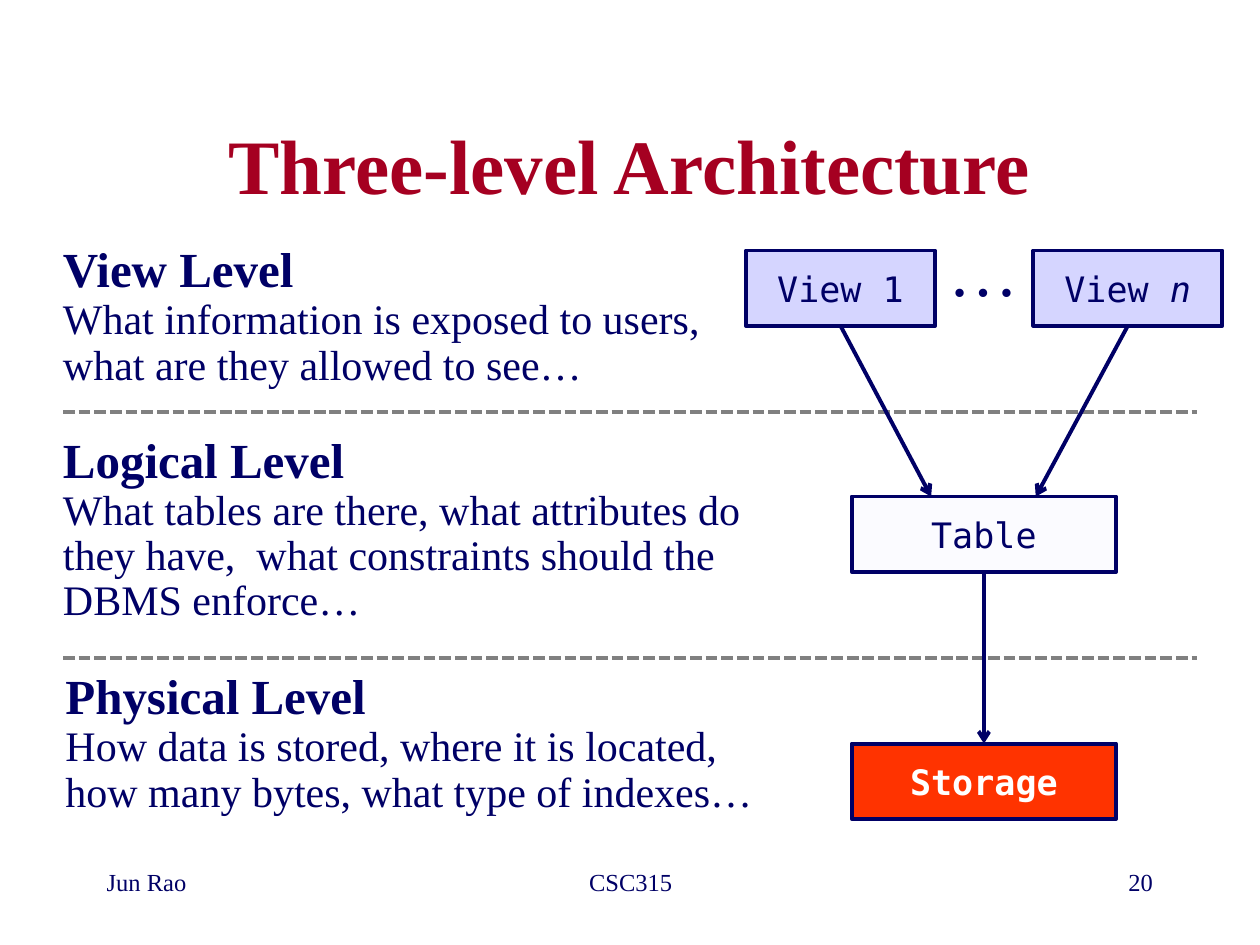
from dataclasses import dataclass

from lxml import etree
from pptx import Presentation
from pptx import util as u
from pptx.dml.color import RGBColor
from pptx.enum import dml, shapes, text
from pptx.oxml import ns


@dataclass(frozen=True)
class Theme:
    serif: str = "Times New Roman"
    mono: str = "DejaVu Sans Mono"
    title: str = "A50021"
    ink: str = "000066"
    divider: str = "808080"
    view: str = "D5D5FF"
    table: str = "FBFBFF"
    storage: str = "FF3300"
    white: str = "FFFFFF"
    title_size: int = 44
    dots_size: int = 40
    heading_size: int = 28
    body_size: int = 24
    node_size: int = 20
    footer_size: int = 14
    stroke: float = 2.25


@dataclass(frozen=True)
class Level:
    heading: str
    body: str
    left: float
    top: float
    height: float


@dataclass(frozen=True)
class Node:
    label: str
    left: float
    top: float
    width: float
    fill: str
    color: str
    bold: bool = False
    suffix: str = ""


@dataclass(frozen=True)
class Footer:
    label: str
    left: float
    width: float
    align: text.PP_ALIGN


THEME = Theme()
ALIGN = text.PP_ALIGN
NODE_HEIGHT = 1.52
VIEW_TOP, TABLE_TOP, STORAGE_TOP = 5.05, 10.01, 14.99
VIEW_WIDTH, STORE_WIDTH, STORE_LEFT = 3.81, 5.33, 17.17

LEVELS = [
    Level("View Level", "What information is exposed to users, what are they allowed to see…",
          1.27, 4.95, 2.9),
    Level("Logical Level", "What tables are there, what attributes do they have,  "
          "what constraints should the DBMS enforce…", 1.27, 8.79, 3.81),
    Level("Physical Level", "How data is stored, where it is located,\n"
          "how many bytes, what type of indexes…", 1.32, 13.56, 2.9),
]
FOOTERS = [
    Footer("Jun Rao", 1.9, 5.28, ALIGN.LEFT),
    Footer("CSC315", 8.69, 8.05, ALIGN.CENTER),
    Footer("20", 18.21, 5.28, ALIGN.RIGHT),
]
VIEW_1 = Node("View 1", 15.04, VIEW_TOP, VIEW_WIDTH, THEME.view, THEME.ink)
VIEW_N = Node("View ", 20.83, VIEW_TOP, VIEW_WIDTH, THEME.view, THEME.ink, suffix="n")
TABLE = Node("Table", STORE_LEFT, TABLE_TOP, STORE_WIDTH, THEME.table, THEME.ink)
STORAGE = Node("Storage", STORE_LEFT, STORAGE_TOP, STORE_WIDTH, THEME.storage,
               THEME.white, bold=True)


def add_text(para, words: str, *, size: int, color: str = THEME.ink, font: str = THEME.serif,
             bold: bool = False, italic: bool = False) -> None:
    """Append formatted text; a newline becomes a line break."""
    for index, line in enumerate(words.split("\n")):
        if index:
            para.add_line_break()
        span = para.add_run()
        span.text = line
        span.font.name, span.font.size = font, u.Pt(size)
        span.font.bold, span.font.italic = bold, italic
        span.font.color.rgb = RGBColor.from_string(color)


def add_box(page, left: float, top: float, width: float, height: float,
            wrap: bool = True, inset: bool = True):
    box = page.shapes.add_textbox(*map(u.Cm, (left, top, width, height)))
    frame = box.text_frame
    frame.word_wrap = wrap
    if not inset:
        frame.margin_left = frame.margin_right = frame.margin_top = frame.margin_bottom = 0
    return frame


def add_level(page, level: Level) -> None:
    frame = add_box(page, level.left, level.top, 14.22, level.height, inset=False)
    heading, body = frame.paragraphs[0], frame.add_paragraph()
    heading.line_spacing = body.line_spacing = 0.9
    add_text(heading, level.heading, size=THEME.heading_size, bold=True)
    add_text(body, level.body, size=THEME.body_size)


def add_node(page, node: Node):
    box = page.shapes.add_shape(shapes.MSO_SHAPE.RECTANGLE, *map(
        u.Cm, (node.left, node.top, node.width, NODE_HEIGHT)))
    box.shadow.inherit = False
    box.fill.solid()
    box.fill.fore_color.rgb = RGBColor.from_string(node.fill)
    box.line.color.rgb = RGBColor.from_string(THEME.ink)
    box.line.width = u.Pt(THEME.stroke)
    frame = box.text_frame
    frame.word_wrap = False
    frame.vertical_anchor = text.MSO_ANCHOR.MIDDLE
    para = frame.paragraphs[0]
    para.alignment = ALIGN.CENTER
    look = dict(size=THEME.node_size, color=node.color, font=THEME.mono, bold=node.bold)
    add_text(para, node.label, **look)
    if node.suffix:
        add_text(para, node.suffix, italic=True, **look)
    return box


def add_line(page, start: tuple[float, float], end: tuple[float, float], color: str):
    line = page.shapes.add_connector(
        shapes.MSO_CONNECTOR.STRAIGHT, *map(u.Cm, (*start, *end)))
    line.line.color.rgb = RGBColor.from_string(color)
    line.line.width = u.Pt(THEME.stroke)
    etree.SubElement(line.element.spPr, ns.qn("a:effectLst"))
    return line


def add_arrow(page, source: Node, source_box, end_x: float, end_y: float):
    """Arrow from the bottom middle of a node."""
    start = (source.left + source.width / 2, source.top + NODE_HEIGHT)
    arrow = add_line(page, start, (end_x, end_y), THEME.ink)
    arrow.begin_connect(source_box, 2)
    outline = arrow.line._get_or_add_ln()
    etree.SubElement(outline, ns.qn("a:tailEnd"), type="arrow")
    return arrow


def main() -> None:
    deck = Presentation()
    deck.slide_width, deck.slide_height = u.Cm(25.4), u.Cm(19.05)
    page = deck.slides.add_slide(deck.slide_layouts[5])

    # Dividers between the levels
    for y in (13.26, 8.31):
        divider = add_line(page, (1.27, y), (24.13, y), THEME.divider)
        divider.line.dash_style = dml.MSO_LINE.SQUARE_DOT

    # Title
    title = page.shapes.title
    title.left, title.top, title.width, title.height = map(u.Cm, (1.9, 1.7, 21.59, 3.18))
    title.text_frame.auto_size = text.MSO_AUTO_SIZE.NONE
    title.text_frame.vertical_anchor = text.MSO_ANCHOR.MIDDLE
    heading = title.text_frame.paragraphs[0]
    heading.alignment = ALIGN.CENTER
    add_text(heading, "Three-level Architecture", size=THEME.title_size,
             color=THEME.title, bold=True)

    # Footer
    for footer in FOOTERS:
        para = add_box(page, footer.left, 17.35, footer.width, 1.27).paragraphs[0]
        para.alignment = footer.align
        add_text(para, footer.label, size=THEME.footer_size)

    # Diagram nodes
    view_1, view_n, table, storage = (
        add_node(page, node) for node in (VIEW_1, VIEW_N, TABLE, STORAGE))
    dots = add_box(page, 18.87, 4.45, 1.9, 1.96, wrap=False).paragraphs[0]
    dots.alignment = ALIGN.CENTER
    add_text(dots, "…", size=THEME.dots_size)

    # Arrows down through the levels
    add_arrow(page, VIEW_1, view_1, 18.77, TABLE_TOP)
    add_arrow(page, VIEW_N, view_n, 20.88, TABLE_TOP)
    stored = add_arrow(page, TABLE, table, STORE_LEFT + STORE_WIDTH / 2, STORAGE_TOP)
    stored.end_connect(storage, 0)

    # Level descriptions
    for level in LEVELS:
        add_level(page, level)

    deck.save("out.pptx")


if __name__ == "__main__":
    main()
